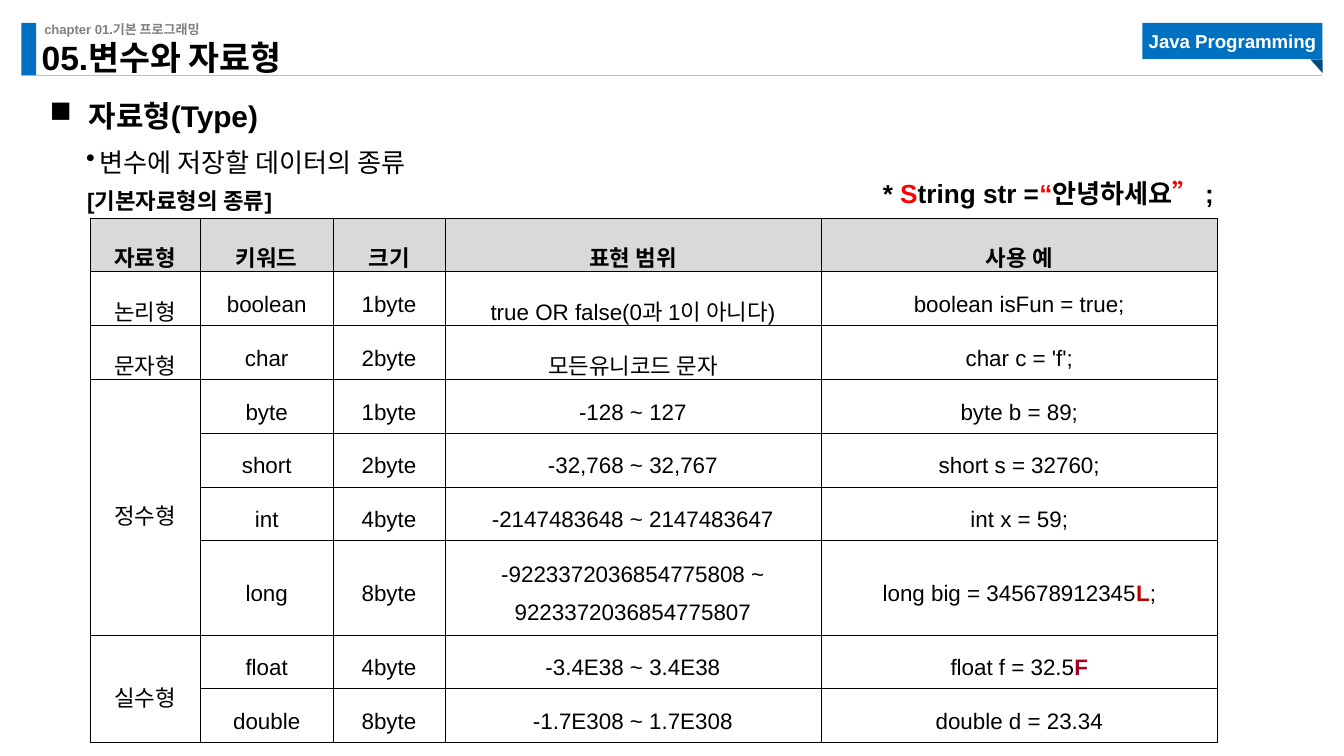
from lxml.etree import SubElement
from pptx import Presentation
from pptx.dml.color import RGBColor
from pptx.enum.shapes import MSO_CONNECTOR as Connector, MSO_SHAPE as Shape
from pptx.enum.text import MSO_ANCHOR as Anchor, PP_ALIGN as Align
from pptx.oxml.ns import qn
from pptx.util import Inches, Pt

COLORS = {
    "black": "000000", "white": "FFFFFF", "gray": "808080", "rule": "BFBFBF",
    "header": "D9D9D9", "blue": "0070C0", "fold": "004A82",
    "red": "FF0000", "long": "C00000", "float": "A50021",
}
WIDTH, HEIGHT = Inches(10), Inches(5.625)


def area(left, top, width, height):
    """Turn percentages of the slide's width and height into lengths."""
    return (int(WIDTH * left / 100), int(HEIGHT * top / 100),
            int(WIDTH * width / 100), int(HEIGHT * height / 100))


def write(frame, text, size=12, color="black", bold=False, align=Align.LEFT,
          anchor=Anchor.TOP, spacing=None, margins=(0.1, 0.05, 0.1, 0.05),
          bullet=None, indent=0, hang=0):
    """Fill a frame with a string, or with (text, color, bold) pieces."""
    frame.word_wrap = True
    frame.vertical_anchor = anchor
    (frame.margin_left, frame.margin_top,
     frame.margin_right, frame.margin_bottom) = map(Inches, margins)
    paragraph = frame.paragraphs[0]
    if bullet:
        props = paragraph._p.get_or_add_pPr()
        props.set("marL", str(Inches(indent)))
        props.set("indent", str(-Inches(hang)))
        SubElement(props, qn("a:buChar")).set("char", bullet)
    paragraph.alignment = align
    paragraph.line_spacing = spacing
    pieces = [(text, color, bold)] if isinstance(text, str) else text
    for words, piece_color, piece_bold in pieces:
        run = paragraph.add_run()
        run.text = words
        run.font.name = "Arial"
        run.font.size = Pt(size)
        run.font.bold = piece_bold
        run.font.color.rgb = RGBColor.from_string(COLORS[piece_color])


deck = Presentation()
deck.slide_width, deck.slide_height = WIDTH, HEIGHT
slide = deck.slides.add_slide(deck.slide_layouts[6])
shapes = slide.shapes

# Page header: rule, accent bar and folded ribbon
left, top, length, _ = area(1.6, 9.96, 96.8, 0)
rule = shapes.add_connector(Connector.STRAIGHT, left, top, left + length, top)
rule.line.color.rgb = RGBColor.from_string(COLORS["rule"])
rule.line.width = Pt(0.5)
SubElement(rule._element.spPr, qn("a:effectLst"))

for kind, place, color, turn, label in [
    (Shape.RECTANGLE, (1.6, 3.02, 1.1, 6.93), "blue", 0, None),
    (Shape.RECTANGLE, (85, 3.02, 13.4, 4.8), "blue", 0, "Java Programming"),
    (Shape.RIGHT_TRIANGLE, (97.5, 7.85, 0.9, 1.8), "fold", 180, None),
]:
    block = shapes.add_shape(kind, *area(*place))
    block.shadow.inherit = False
    block.fill.solid()
    block.fill.fore_color.rgb = RGBColor.from_string(COLORS[color])
    block.line.fill.background()
    block.rotation = turn
    if label:
        write(block.text_frame, label, size=10, color="white", bold=True,
              align=Align.CENTER, anchor=Anchor.MIDDLE, margins=(0, 0, 0, 0))

# Headings and notes around the table
flush = {"margins": (0, 0, 0, 0)}
string_example = [
    ("* ", "black", True), ("S", "red", True), ("tring str =", "black", True),
    ("“", "red", True), ("안녕하세요", "black", True), ("”", "red", True),
    (" ;", "black", True),
]
for place, text, style in [
    ((3.3, 2.84, 32.3, 2.13), "chapter 01.기본 프로그래밍",
     dict(flush, size=7, color="gray", bold=True)),
    ((3.1, 6.22, 33, 4.09), "05.변수와 자료형",
     dict(flush, size=18, bold=True, anchor=Anchor.BOTTOM, spacing=0.9)),
    ((3.7, 10.49, 95.4, 5.87), "자료형(Type)",
     dict(flush, size=16, bold=True, spacing=1.5,
          bullet="■", indent=0.29, hang=0.29)),
    ((3.4, 16.36, 74.8, 8.36), "변수에 저장할 데이터의 종류",
     dict(size=14, spacing=1.5, margins=(0, 0.05, 0.1, 0.05),
          bullet="•", indent=0.4, hang=0.1)),
    ((5.5, 23.82, 17.2, 5.33), "[기본자료형의 종류]", dict(bold=True)),
    ((64.7, 22.58, 32, 6.04), string_example, dict(size=14)),
]:
    write(shapes.add_textbox(*area(*place)).text_frame, text, **style)

# Table of primitive types; an empty first cell continues the group above
long_example = [("long big = 345678912345", "black", False),
                ("L", "long", True), (";", "black", False)]
float_example = [("float f = 32.5", "black", False), ("F", "float", True)]
type_rows = [
    ("자료형", "키워드", "크기", "표현 범위", "사용 예"),
    ("논리형", "boolean", "1byte", "true OR false(0과 1이 아니다)",
     "boolean isFun = true;"),
    ("문자형", "char", "2byte", "모든유니코드 문자", "char c = 'f';"),
    ("정수형", "byte", "1byte", "-128 ~ 127", "byte b = 89;"),
    ("", "short", "2byte", "-32,768 ~ 32,767", "short s = 32760;"),
    ("", "int", "4byte", "-2147483648 ~ 2147483647", "int x = 59;"),
    ("", "long", "8byte", "-9223372036854775808 ~ 9223372036854775807",
     long_example),
    ("실수형", "float", "4byte", "-3.4E38 ~ 3.4E38", float_example),
    ("", "double", "8byte", "-1.7E308 ~ 1.7E308", "double d = 23.34"),
]
column_shares = [8.2, 9.9, 8.3, 28, 29.5]
row_shares = [10.49 if row[1] == "long" else 5.69 for row in type_rows]
types = shapes.add_table(
    len(type_rows), len(column_shares),
    *area(6.7, 28.8, sum(column_shares), sum(row_shares))).table
for column, share in zip(types.columns, column_shares):
    column.width = int(WIDTH * share / 100)
for row, share in zip(types.rows, row_shares):
    row.height = int(HEIGHT * share / 100)

for r, row in enumerate(type_rows):
    for c, text in enumerate(row):
        cell = types.cell(r, c)
        cell.vertical_anchor = Anchor.MIDDLE
        if text:
            write(cell.text_frame, text, bold=r == 0, align=Align.CENTER,
                  anchor=None, spacing=1.5)
        cell_props = cell._tc.get_or_add_tcPr()
        for side in ("lnL", "lnR", "lnT", "lnB"):
            border = SubElement(cell_props, qn(f"a:{side}"), w=str(Pt(0.25)))
            paint = SubElement(border, qn("a:solidFill"))
            SubElement(paint, qn("a:srgbClr"), val=COLORS["black"])
        cell.fill.solid()
        cell.fill.fore_color.rgb = RGBColor.from_string(
            COLORS["header" if r == 0 else "white"])

for first, last in [(3, 6), (7, 8)]:
    types.cell(first, 0).merge(types.cell(last, 0))

deck.save("out.pptx")
